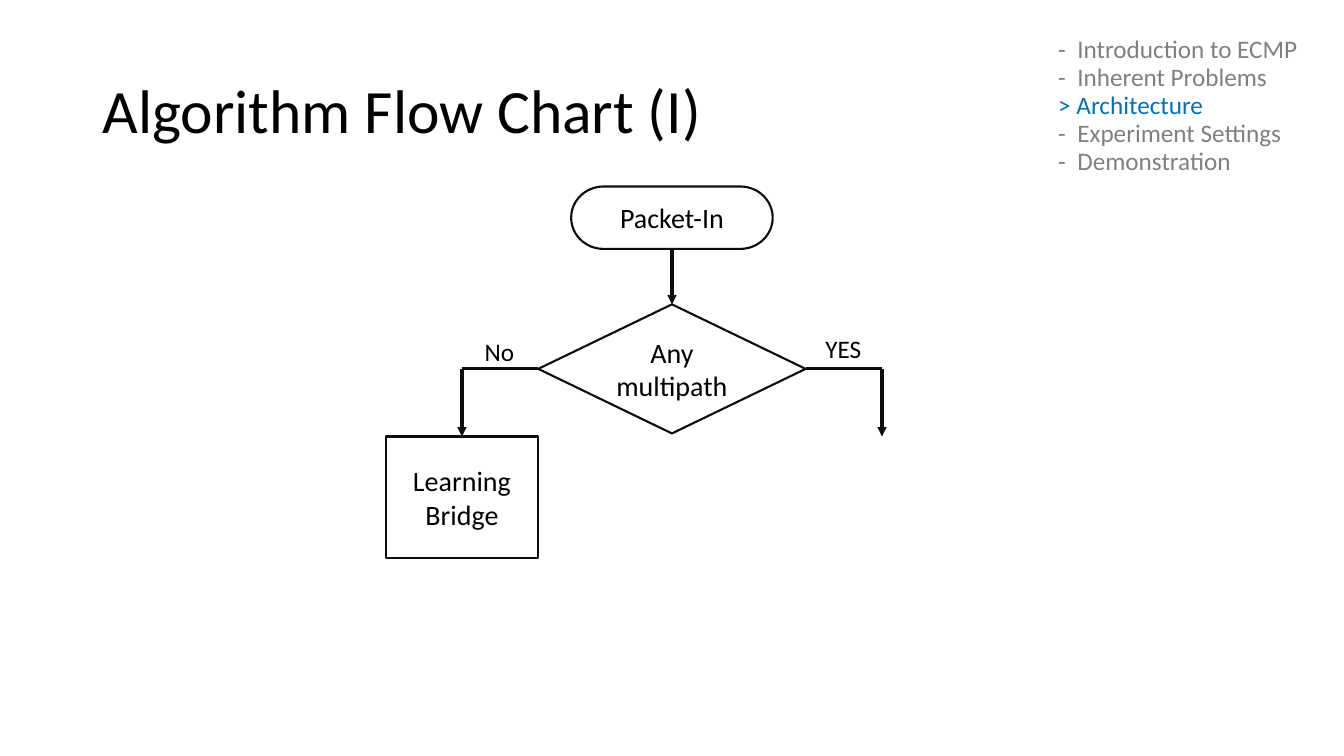
from lxml import etree
from pptx import Presentation
from pptx.dml.color import RGBColor
from pptx.enum import shapes, text
from pptx.oxml import ns
from pptx.util import Pt

COLORS = {"paper": "FFFFFF", "ink": "000000", "outline": "0D0D0D",
          "muted": "808080", "current": "0070C0"}


class FlowSlide:
    """Holds the style and the slide being built."""
    font = "Calibri"

    def __init__(self, deck):
        self.slide = deck.slides.add_slide(deck.slide_layouts[5])

    def color(self, name):
        return RGBColor.from_string(COLORS[name])

    def format_runs(self, paragraph, size, color="ink"):
        for run in paragraph.runs:
            run.font.name = self.font
            run.font.size = Pt(size)
            run.font.color.rgb = self.color(color)

    def title(self, wording, left, top, width, height):
        heading = self.slide.shapes.title
        heading.left, heading.top = Pt(left), Pt(top)
        heading.width, heading.height = Pt(width), Pt(height)
        frame = heading.text_frame
        frame.text = wording
        frame.vertical_anchor = text.MSO_ANCHOR.MIDDLE
        frame.paragraphs[0].alignment = text.PP_ALIGN.LEFT
        frame.paragraphs[0].line_spacing = 0.9
        self.format_runs(frame.paragraphs[0], 44)

    def agenda(self, topics, current, left, top, width, height):
        box = self.slide.shapes.add_textbox(Pt(left), Pt(top), Pt(width), Pt(height))
        frame = box.text_frame
        frame.word_wrap = True
        for i, topic in enumerate(topics):
            entry = frame.add_paragraph() if i else frame.paragraphs[0]
            entry.text = f"> {topic}" if topic == current else f"-  {topic}"
            entry.line_spacing = Pt(10)
            entry.space_before = Pt(10 if i else 0)
            self.format_runs(entry, 18, "current" if topic == current else "muted")

    def step(self, kind, wording, center_x, top, width, height):
        node = self.slide.shapes.add_shape(
            kind, Pt(center_x - width / 2), Pt(top), Pt(width), Pt(height))
        node.shadow.inherit = False
        node.fill.solid()
        node.fill.fore_color.rgb = self.color("paper")
        node.line.color.rgb = self.color("outline")
        node.line.width = Pt(1.5)
        frame = node.text_frame
        frame.text = wording
        frame.word_wrap = True
        frame.vertical_anchor = text.MSO_ANCHOR.MIDDLE
        frame.paragraphs[0].alignment = text.PP_ALIGN.CENTER
        self.format_runs(frame.paragraphs[0], 20)

    def link(self, x1, y1, x2, y2, arrow=False):
        flow = self.slide.shapes.add_connector(
            shapes.MSO_CONNECTOR.STRAIGHT, Pt(x1), Pt(y1), Pt(x2), Pt(y2))
        flow.line.color.rgb = self.color("outline")
        flow.line.width = Pt(2.25)
        if arrow:
            etree.SubElement(flow.line._get_or_add_ln(), ns.qn("a:tailEnd"), type="triangle")
        etree.SubElement(flow._element.spPr, ns.qn("a:effectLst"))

    def label(self, wording, left, top, width, height):
        box = self.slide.shapes.add_textbox(Pt(left), Pt(top), Pt(width), Pt(height))
        frame = box.text_frame
        frame.text = wording
        frame.word_wrap = False
        frame.auto_size = text.MSO_AUTO_SIZE.SHAPE_TO_FIT_TEXT
        self.format_runs(frame.paragraphs[0], 18)


def main():
    deck = Presentation()
    deck.slide_width, deck.slide_height = Pt(960), Pt(540)
    page = FlowSlide(deck)

    # Title and agenda
    page.title("Algorithm Flow Chart (I)", 66, 28.8, 828, 104.4)
    page.agenda(["Introduction to ECMP", "Inherent Problems", "Architecture",
                 "Experiment Settings", "Demonstration"], "Architecture",
                748.8, 31.7, 205.2, 118)

    # Steps
    axis, branch = 480, 150
    start_top, start_height = 133.2, 44.6
    decision_top, decision_width, decision_height = 217.4, 191, 92.2
    result_top = 311.8
    kinds = shapes.MSO_SHAPE
    page.step(kinds.FLOWCHART_TERMINATOR, "Packet-In", axis, start_top, 144, start_height)
    page.step(kinds.FLOWCHART_DECISION, "Any multipath",
              axis, decision_top, decision_width, decision_height)
    page.step(kinds.RECTANGLE, "Learning Bridge", axis - branch, result_top, 108.7, 87.1)

    # Flow into the decision, then out to both sides
    page.link(axis, start_top + start_height, axis, decision_top, arrow=True)
    branch_y = decision_top + decision_height / 2
    for side in (-1, 1):
        branch_x = axis + side * branch
        page.link(axis + side * decision_width / 2, branch_y, branch_x, branch_y)
        page.link(branch_x, branch_y, branch_x, result_top, arrow=True)

    # Branch labels
    page.label("No", 339.1, 236.9, 36, 29)
    page.label("YES", 582.5, 234.7, 40.3, 29)

    deck.save("out.pptx")


if __name__ == "__main__":
    main()
